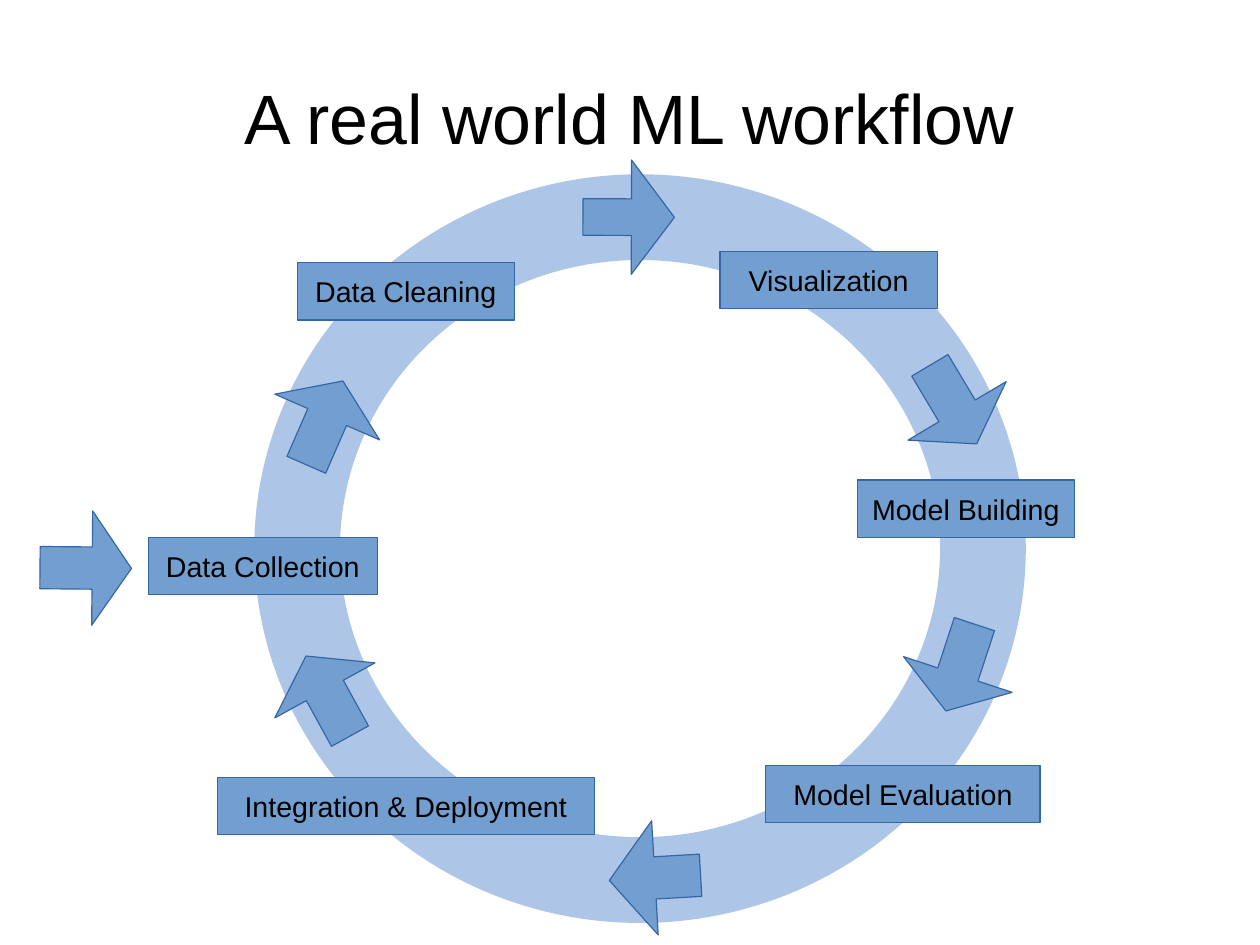
from pptx import Presentation
from pptx.dml.color import RGBColor
from pptx.enum import shapes, text
from pptx.util import Inches, Pt

BLACK = RGBColor(0x00, 0x00, 0x00)
BLUE = RGBColor(0x72, 0x9F, 0xCF)
EDGE = RGBColor(0x34, 0x65, 0xA4)
PALE = RGBColor(0xAD, 0xC5, 0xE7)
KIND = shapes.MSO_SHAPE

deck = Presentation()
deck.slide_width = Inches(28 / 2.54)
deck.slide_height = Inches(21 / 2.54)
slide = deck.slides.add_slide(deck.slide_layouts[6])


def draw(kind, at, fill=BLUE, edge=EDGE, width=0.75):
    shape = slide.shapes.add_shape(kind, *map(Inches, at))
    shape.shadow.inherit = False
    if fill is None:
        shape.fill.background()
    else:
        shape.fill.solid()
        shape.fill.fore_color.rgb = fill
    shape.line.color.rgb = edge
    shape.line.width = Pt(width)
    return shape


def write(shape, words, size, inset, wrap):
    frame = shape.text_frame
    form = {
        "word_wrap": wrap,
        "vertical_anchor": text.MSO_ANCHOR.MIDDLE,
        "margin_left": Inches(inset),
        "margin_right": Inches(inset),
        "margin_top": Inches(inset / 2),
        "margin_bottom": Inches(inset / 2),
    }
    for name, value in form.items():
        setattr(frame, name, value)
    line = frame.paragraphs[0]
    line.alignment = text.PP_ALIGN.CENTER
    run = line.add_run()
    run.text = words
    for name, value in {"name": "Arial", "size": Pt(size)}.items():
        setattr(run.font, name, value)
    run.font.color.rgb = BLACK


draw(KIND.OVAL, (2.6, 1.9, 6, 5.8), None, PALE, 54)

title = slide.shapes.add_textbox(*map(Inches, (0.55, 0.33, 9.92, 1.38)))
write(title, "A real world ML workflow", 44, 0, True)

steps = [
    ("Data Collection", 1.3, 4.7, 2),
    ("Data Cleaning", 2.6, 2.3, 1.9),
    ("Visualization", 6.3, 2.2, 1.9),
    ("Model Building", 7.5, 4.2, 1.9),
    ("Integration & Deployment", 1.9, 6.8, 3.3),
    ("Model Evaluation", 6.7, 6.7, 2.4),
]
for words, left, top, width in steps:
    step = draw(KIND.RECTANGLE, (left, top, width, 0.5))
    write(step, words, 18, 0.1, False)

arrows = [
    (2.34, 3.3, 23.6, 0.37, 0.43),
    (5, 1.5, 90.2, 0.32, 0.47),
    (5.23, 7.28, 266.7, 0.37, 0.5),
    (7.84, 3.14, 149.2, 0.37, 0.42),
    (2.37, 5.69, 331.2, 0.37, 0.43),
    (0.25, 4.57, 90.5, 0.37, 0.43),
    (7.9, 5.44, 198.2, 0.37, 0.42),
]
for left, top, turn, shaft, head in arrows:
    arrow = draw(KIND.UP_ARROW, (left, top, 1, 0.8))
    arrow.rotation = turn
    arrow.adjustments[0] = shaft
    arrow.adjustments[1] = head

deck.save("out.pptx")
